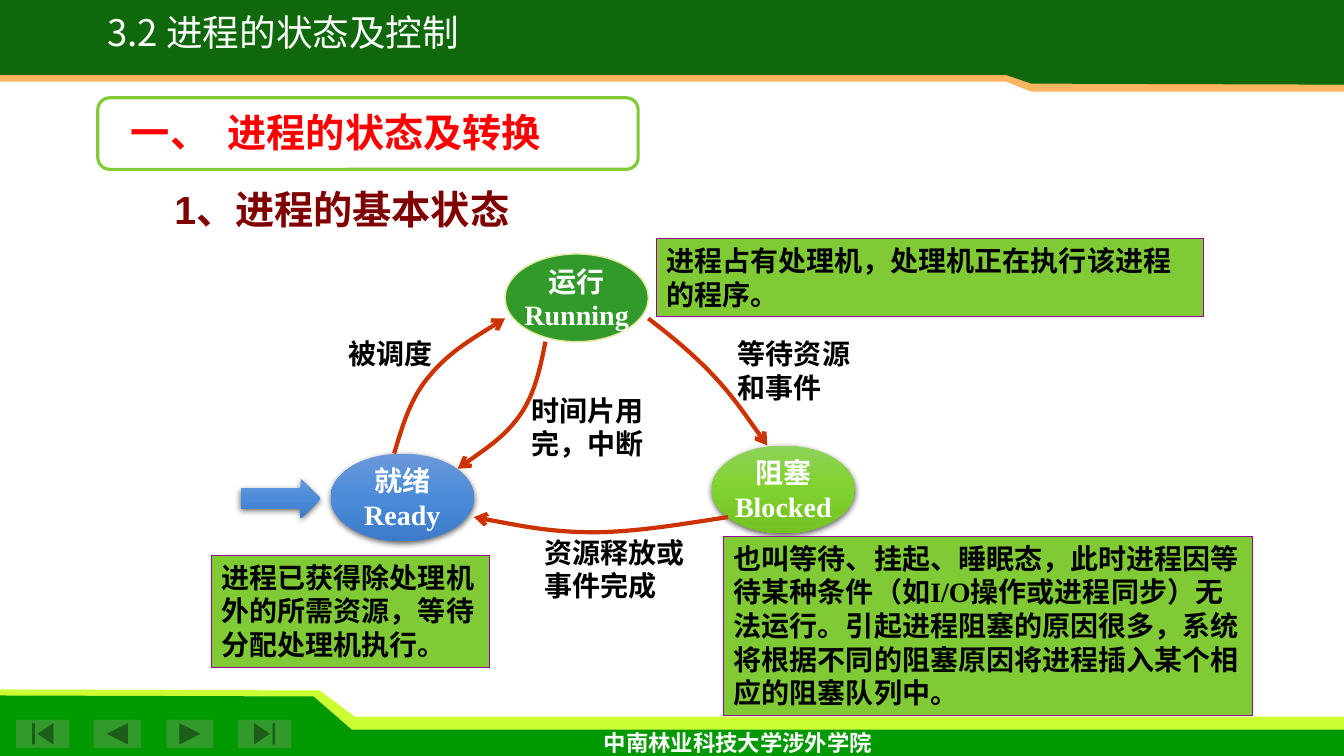
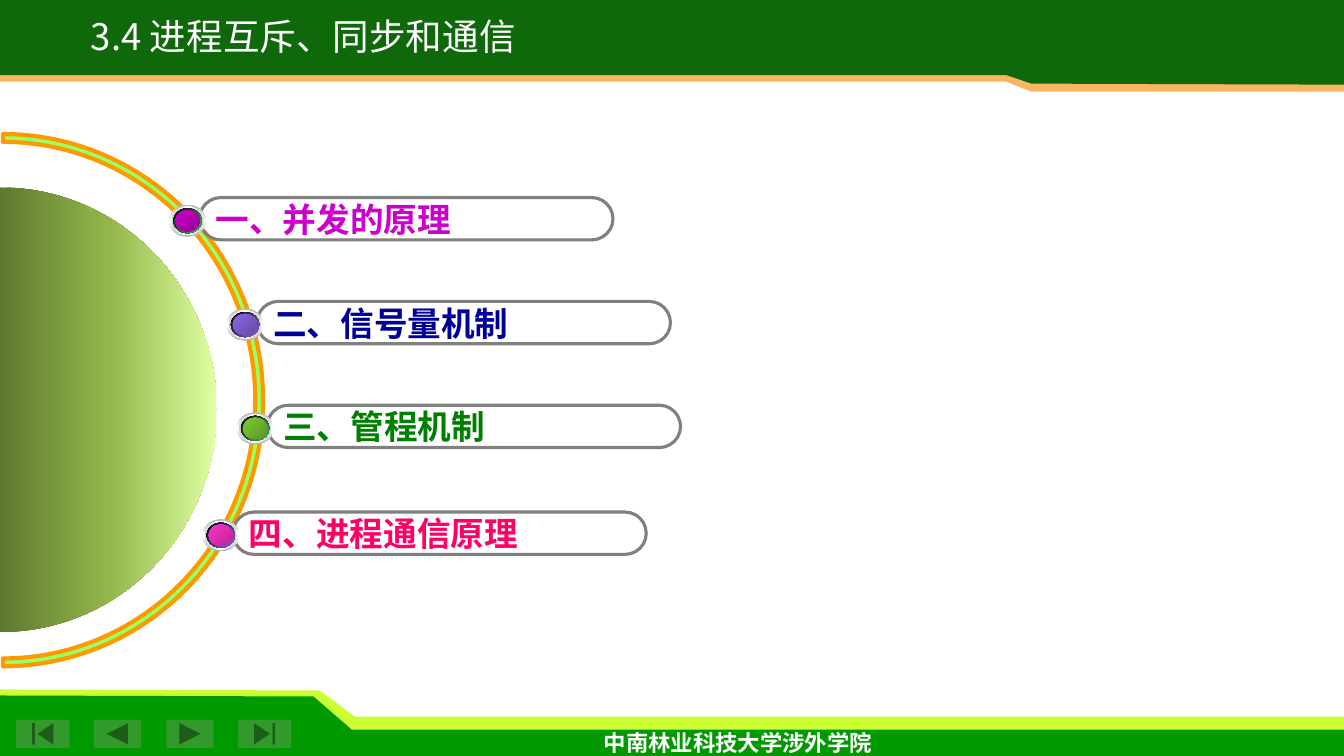
from lxml import etree
from pptx import Presentation
from pptx.dml.color import RGBColor
from pptx.enum.shapes import MSO_SHAPE as SHAPE
from pptx.enum.text import MSO_ANCHOR as ANCHOR, PP_ALIGN as ALIGN
from pptx.oxml.ns import qn
from pptx.util import Inches, Pt

COLORS = {
    "white": "FFFFFF", "black": "000000", "header": "0F690B", "orange": "FBB561",
    "footer": "009900", "lime": "CCFF33", "green": "329A2A", "leaf": "80CB35",
    "pale": "DDE89A", "purple": "990099", "arrow": "CC3300", "maroon": "800000",
    "red": "FF0000", "gray": "808080", "ring": "99FF66", "ring_edge": "FF9900",
}
SANS, SERIF, CJK = "Arial", "Times New Roman", "Noto Sans CJK SC"
BLUE_STOPS = [(0, "6A99D9"), (50, "4B8BD9"), (100, "3B7BC9")]
GREEN_STOPS = [(0, "8ED258"), (50, "80D22E"), (100, "72C221")]
DISC_STOPS = [(0, "5E7A2F"), (50, "92B649"), (100, "DFFFA3")]


def rgb(color):
    return RGBColor.from_string(COLORS.get(color, color))


def set_gradient(sp, stops, angle):
    """Fill with (percent, colour) stops; the angle runs clockwise."""
    sp.fill.gradient()
    sp.fill.gradient_angle = (360 - angle) % 360
    gs_list = next(sp.element.iter(qn("a:gsLst")))
    for gs in list(gs_list):
        gs_list.remove(gs)
    for pos, color in stops:
        gs = etree.SubElement(gs_list, qn("a:gs"), pos=str(pos * 1000))
        etree.SubElement(gs, qn("a:srgbClr"), val=color)


def style(sp, fill=None, line=None, width=1, angle=90):
    """Apply a colour name, a list of gradient stops or no fill, and an outline."""
    sp.shadow.inherit = False
    if isinstance(fill, list):
        set_gradient(sp, fill, angle)
    elif fill:
        sp.fill.solid()
        sp.fill.fore_color.rgb = rgb(fill)
    else:
        sp.fill.background()
    if line:
        sp.line.color.rgb = rgb(line)
        sp.line.width = Pt(width)
    else:
        sp.line.fill.background()
    return sp


def add_soft_shadow(sp):
    effects = next(sp.element.iter(qn("a:effectLst")))
    shadow = etree.SubElement(effects, qn("a:outerShdw"), blurRad=str(Pt(4.5)),
                              dist=str(Pt(1.5)), dir="5400000", rotWithShape="0")
    color = etree.SubElement(shadow, qn("a:srgbClr"), val=COLORS["black"])
    etree.SubElement(color, qn("a:alpha"), val="63000")


def add_shape(s, kind, box, **look):
    return style(s.shapes.add_shape(kind, *map(Inches, box)), **look)


def add_outline(s, points, left, top, close=True, **look):
    pts = [(Inches(left + x), Inches(top + y)) for x, y in points]
    builder = s.shapes.build_freeform(*pts[0], scale=1.0)
    builder.add_line_segments(pts[1:], close=close)
    return style(builder.convert_to_shape(), **look)


def add_curve(s, points, left, top, **options):
    """Draw cubic curves: a start point, then two handles and an end for each."""
    sp = add_outline(s, points, left, top, **options)
    segments = list(sp.element.iter(qn("a:lnTo")))
    for i in range(0, len(segments), 3):
        bezier = etree.Element(qn("a:cubicBezTo"))
        segments[i].addprevious(bezier)
        for segment in segments[i:i + 3]:
            bezier.append(segment[0])
            segment.getparent().remove(segment)
    return sp


def write(sp, lines, size, color, font=SERIF, bold=True, align=ALIGN.LEFT,
          anchor=ANCHOR.TOP, wrap=True, spacing=None):
    tf = sp.text_frame
    tf.word_wrap = wrap
    tf.vertical_anchor = anchor
    for i, line in enumerate(lines):
        p = tf.add_paragraph() if i else tf.paragraphs[0]
        p.alignment = align
        if spacing:
            p.line_spacing = spacing
        r = p.add_run()
        r.text = line
        r.font.size, r.font.bold, r.font.name = Pt(size), bold, font
        r.font.color.rgb = rgb(color)
        etree.SubElement(r.font._element, qn("a:ea"), typeface=CJK)
    return sp


def add_text(s, box, text, size, color, **options):
    return write(s.shapes.add_textbox(*map(Inches, box)), [text], size, color, **options)


def add_header(s, left, top, title, title_box):
    for y1, y2, y3, color in [(0.81, 0.91, 0.91, "orange"), (0.745, 0.83, 0.84, "header")]:
        band = [(0, 0), (0, y1), (9.98, y1), (10.23, y2), (13.33, y3), (13.33, 0)]
        add_outline(s, band, left, top, fill=color)
    x, y, w, h = title_box
    add_text(s, (left + x, top + y, w, h), title, 26.1, "white", font=CJK, bold=False,
             align=ALIGN.CENTER, wrap=False, spacing=0.8)


def add_footer(s, left, top):
    add_outline(s, [(0, 0), (3.17, 0.01), (3.52, 0.27), (13.33, 0.27), (13.33, 0.56),
                    (0, 0.56)], left, top, fill="lime")
    add_outline(s, [(0, 0.06), (3.11, 0.07), (3.49, 0.4), (13.33, 0.4), (13.33, 0.66),
                    (0, 0.66)], left, top, fill="footer")
    buttons = [(0.16, 0.53, SHAPE.ACTION_BUTTON_BEGINNING),
               (0.93, 0.47, SHAPE.ACTION_BUTTON_BACK_OR_PREVIOUS),
               (1.65, 0.47, SHAPE.ACTION_BUTTON_FORWARD_OR_NEXT),
               (2.36, 0.53, SHAPE.ACTION_BUTTON_END)]
    for x, w, kind in buttons:
        add_shape(s, kind, (left + x, top + 0.3, w, 0.28), fill="green")
    add_text(s, (left + 5.89, top + 0.34, 2.89, 0.37), "中南林业科技大学涉外学院", 16,
             "white", font="Karla", wrap=False)


def new_slide(prs, title, title_box):
    s = prs.slides.add_slide(prs.slide_layouts[6])
    add_footer(s, 0, 6.84)
    add_header(s, 0, 0, title, title_box)
    return s


def add_headings(s, left, top):
    frame = add_shape(s, SHAPE.ROUNDED_RECTANGLE, (left, top, 5.36, 0.71),
                      fill="white", line="leaf", width=2.25)
    frame.adjustments[0] = 0.167
    heading = add_text(s, (left + 0.23, top + 0.06, 5.75, 0.57), "一、\t进程的状态及转换",
                       28, "red")
    p_pr = heading.text_frame.paragraphs[0]._p.get_or_add_pPr()
    tabs = etree.SubElement(p_pr, qn("a:tabLst"))
    etree.SubElement(tabs, qn("a:tab"), pos=str(Inches(0.96)), algn="l")
    add_text(s, (left + 0.66, top + 0.82, 8.98, 0.63), "1、进程的基本状态", 28, "maroon",
             font=SANS)


def add_state(s, left, top, names, fill, line=None):
    sp = add_shape(s, SHAPE.OVAL, (left, top, 1.42, 0.87), fill=fill, line=line)
    if not line:
        add_soft_shadow(sp)
    write(sp, names, 20, "white", align=ALIGN.CENTER, anchor=ANCHOR.MIDDLE, wrap=False)


def add_transition(s, left, top, points):
    sp = add_curve(s, points, left, top, close=False, line="arrow", width=3)
    etree.SubElement(sp.line._get_or_add_ln(), qn("a:tailEnd"), type="arrow")


def add_state_diagram(s, left, top):
    transitions = [
        ([(1.91, 2.5), (1.99, 2.23), (2.07, 1.95), (2.26, 1.73), (2.44, 1.51),
          (2.73, 1.33), (3.01, 1.16)], "被调度", (1.36, 1.29, 1.26, 0.44)),
        ([(3.41, 1.39), (3.36, 1.64), (3.31, 1.89), (3.17, 2.1), (3.03, 2.31),
          (2.78, 2.48), (2.54, 2.65)], "时间片用完，中断", (3.17, 1.85, 1.57, 0.77)),
        ([(5.22, 3.13), (4.76, 3.2), (4.3, 3.28), (3.88, 3.28), (3.46, 3.28),
          (3.08, 3.2), (2.7, 3.13)], "资源释放或事件完成", (3.3, 3.26, 1.65, 0.77)),
        ([(4.43, 1.16), (4.65, 1.33), (4.86, 1.5), (5.06, 1.71), (5.26, 1.92),
          (5.43, 2.17), (5.61, 2.42)], "等待资源和事件", (5.22, 1.29, 1.49, 0.77)),
    ]
    notes = [
        ((4.51, 0.37, 5.43, 0.77), "进程占有处理机，处理机正在执行该进程的程序。"),
        ((0.1, 3.51, 2.76, 1.11), "进程已获得除处理机外的所需资源，等待分配处理机执行。"),
        ((5.18, 3.32, 5.24, 1.78),
         "也叫等待、挂起、睡眠态，此时进程因等待某种条件（如I/O操作或进程同步）无法运行。"
         "引起进程阻塞的原因很多，系统将根据不同的阻塞原因将进程插入某个相应的阻塞队列中。"),
    ]
    add_state(s, left + 3.01, top + 0.52, ["运行", "Running"], "green", "pale")
    add_state(s, left + 5.06, top + 2.42, ["阻塞", "Blocked"], GREEN_STOPS)
    add_state(s, left + 1.28, top + 2.5, ["就绪", "Ready"], BLUE_STOPS)
    entry = add_shape(s, SHAPE.RIGHT_ARROW, (left + 0.39, top + 2.75, 0.79, 0.39),
                      fill=BLUE_STOPS)
    add_soft_shadow(entry)
    for points, label, (x, y, w, h) in transitions:
        add_transition(s, left, top, points)
        add_text(s, (left + x, top + y, w, h), label, 20, "black")
    for (x, y, w, h), text in notes:
        sp = add_shape(s, SHAPE.RECTANGLE, (left + x, top + y, w, h), fill="leaf",
                       line="purple", width=0.75)
        write(sp, [text], 20, "black")


def add_dot(s, left, top, rim, stops):
    """Stack shrinking ovals into a metal-rimmed ball."""
    layers = [([(0, "B6B6B6"), (50, "FFFFFF"), (100, "B6B6B6")], 90),
              ([(0, "D1D1D1"), (50, "FFFFFF"), (100, "D1D1D1")], 0),
              ([(0, "000000"), (100, rim)], 45),
              (stops, 45)]
    for i, (fill, angle) in enumerate(layers):
        inset = 0.02 * i
        box = (left + inset, top + inset * 0.9, 0.36 - 2 * inset, 0.32 - 1.8 * inset)
        add_shape(s, SHAPE.OVAL, box, fill=fill, angle=angle)


def add_agenda(s, left, top):
    ring = add_shape(s, SHAPE.BLOCK_ARC, (left - 2.55, top + 0.03, 5.16, 5.28),
                     fill="ring", line="ring_edge", width=3)
    # Angles are in 60000ths of a degree, scaled by 100000
    for i, value in enumerate([162, 54, 0.015]):
        ring.adjustments[i] = value
    add_curve(s, [(0, 0.56), (1.19, 0.56), (2.15, 1.55), (2.15, 2.76), (2.15, 3.98),
                  (1.19, 4.97), (0, 4.97)], left, top, fill=DISC_STOPS, angle=0)
    topics = [
        (1.98, 0.66, "一、并发的原理", "CC00CC", "48BE67", "CC00CC", "950095"),
        (2.55, 1.69, "二、信号量机制", "000099", "8D67E1", "8D67E1", "674BA4"),
        (2.65, 2.72, "三、管程机制", "008000", "48BE67", "80CB35", "5E9427"),
        (2.31, 3.78, "四、进程通信原理", "FF0066", "8D67E1", "FF33CC", "BA2595"),
    ]
    for x, y, text, color, rim, light, dark in topics:
        pill = add_shape(s, SHAPE.ROUNDED_RECTANGLE, (left + x, top + y, 4.1, 0.42),
                         line="gray", width=2.25)
        pill.adjustments[0] = 0.5
        write(pill, [text], 24, color, font=SANS, anchor=ANCHOR.MIDDLE)
        add_dot(s, left + x - 0.3, top + y + 0.07, rim, [(0, light), (100, dark)])


def main():
    prs = Presentation()
    prs.slide_width, prs.slide_height = Inches(13.33), Inches(7.5)

    s = new_slide(prs, "3.2 进程的状态及控制", (0.45, 0.13, 4.72, 0.46))
    add_headings(s, 0.97, 0.97)
    add_state_diagram(s, 2, 2)

    s = new_slide(prs, "3.4 进程互斥、同步和通信", (0.45, 0.17, 5.12, 0.46))
    add_agenda(s, 0, 1.3)

    prs.save("out.pptx")


if __name__ == "__main__":
    main()
